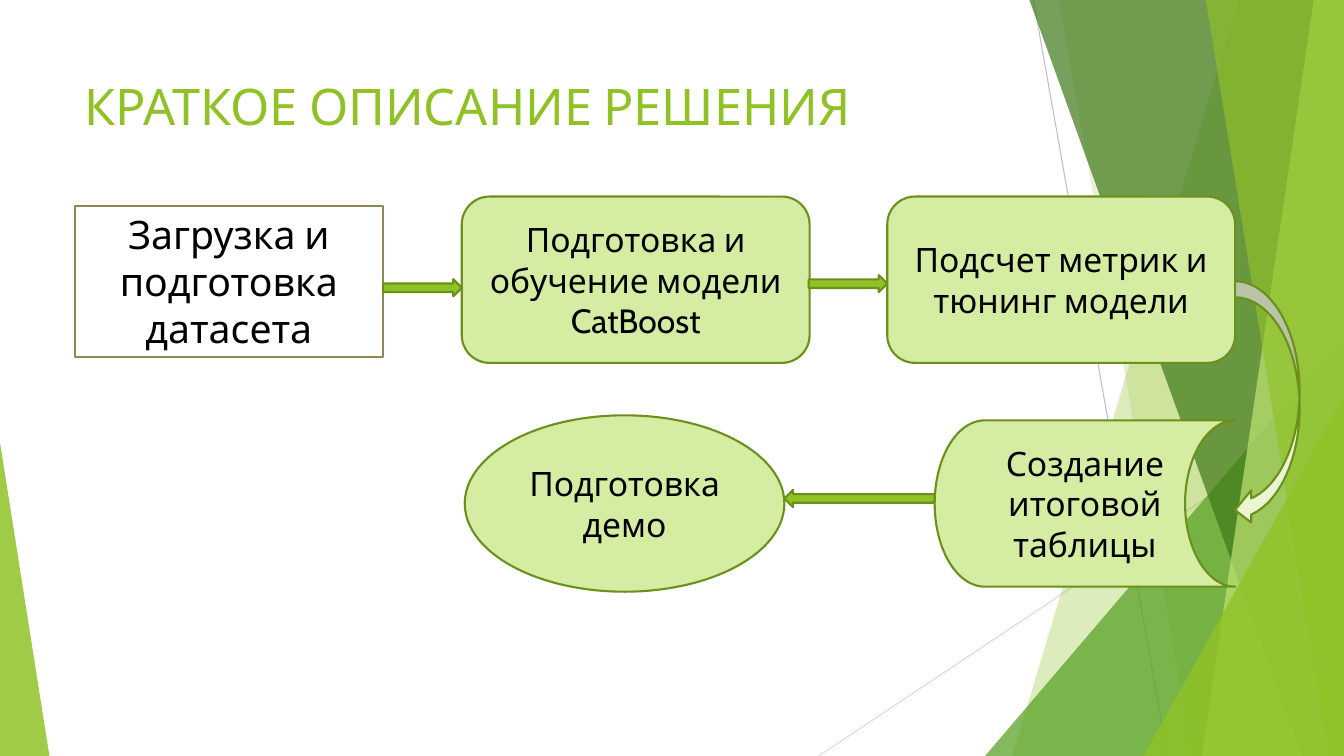
from dataclasses import dataclass

from lxml import etree
from pptx import Presentation
from pptx import util as u
from pptx.dml.color import RGBColor
from pptx.enum import shapes, text
from pptx.oxml import ns

PX = 9144  # one px is a hundredth of an inch
WIDTH, HEIGHT = 1333, 750
Preset = shapes.MSO_SHAPE


@dataclass(frozen=True)
class Theme:
    font: str = "Cabin"
    title_size: int = 36
    start_size: int = 28
    step_size: int = 24
    line_width: float = 1.5
    ray_width: float = 0.75
    ink: str = "000000"
    white: str = "FFFFFF"
    green: str = "90C226"
    outline: str = "6B901C"
    start_outline: str = "918655"
    step_fill: str = "D5EDA2"
    curve_fill: str = "EAF6D1"
    leaf: str = "54A021"
    forest: str = "3F7819"
    lime: str = "C0E474"


THEME = Theme()


@dataclass(frozen=True)
class Box:
    left: int
    top: int
    width: int
    height: int

    def emu(self) -> tuple[int, ...]:
        return tuple(v * PX for v in (self.left, self.top, self.width, self.height))


@dataclass(frozen=True)
class Ray:
    start: tuple[int, int]
    end: tuple[int, int]
    color: str


@dataclass(frozen=True)
class Band:
    """A full-height facet running from its slanted left edge to the right side."""
    top_left: int
    bottom_left: int
    color: str
    opacity: int


@dataclass(frozen=True)
class Wedge:
    box: Box
    apex: int
    color: str
    opacity: int


@dataclass(frozen=True)
class Step:
    preset: Preset
    box: Box
    label: str
    size: int = THEME.step_size
    fill: str = THEME.step_fill
    outline: str = THEME.outline


@dataclass(frozen=True)
class Arrow:
    box: Box
    preset: Preset = Preset.RIGHT_ARROW
    rotation: int = 0
    fill: str = THEME.green


RAYS = [
    Ray((1025, 0), (1158, HEIGHT), "BFBFBF"),
    Ray((WIDTH, 403), (812, HEIGHT), "D9D9D9"),
]
FACETS = [
    Band(1228, 1004, THEME.green, 30),
    Band(1050, 1183, THEME.green, 20),
    Wedge(Box(977, 333, 356, 417), 1, THEME.leaf, 72),
    Band(1021, 1291, THEME.forest, 70),
    Band(1303, 1192, THEME.lime, 70),
    Band(1196, 1318, THEME.green, 65),
    Wedge(Box(1134, 393, 199, 357), 1, THEME.green, 80),
    Wedge(Box(0, 439, 49, 311), 0, THEME.green, 85),
]
FLOW = [
    Step(Preset.RECTANGLE, Box(74, 204, 306, 150), "Загрузка и подготовка датасета",
         THEME.start_size, THEME.white, THEME.start_outline),
    Step(Preset.ROUNDED_RECTANGLE, Box(458, 195, 345, 165),
         "Подготовка и обучение модели CatBoost"),
    Step(Preset.ROUNDED_RECTANGLE, Box(880, 195, 345, 165), "Подсчет метрик и тюнинг модели"),
    Arrow(Box(380, 277, 78, 17)),
    Arrow(Box(778, 486, 149, 17), rotation=180),
    Arrow(Box(1225, 279, 64, 243), Preset.CURVED_LEFT_ARROW, fill=THEME.curve_fill),
    Step(Preset.FLOWCHART_STORED_DATA, Box(927, 417, 298, 165), "Создание итоговой таблицы"),
    Step(Preset.OVAL, Box(461, 412, 317, 175), "Подготовка демо"),
    Arrow(Box(802, 273, 78, 17)),
]


def rgb(color: str) -> RGBColor:
    return RGBColor.from_string(color)


def paint(shape, fill: str, outline: str | None = None, opacity: int = 100) -> None:
    shape.shadow.inherit = False
    shape.fill.solid()
    shape.fill.fore_color.rgb = rgb(fill)
    if opacity < 100:
        color = shape.fill._xPr.find(".//" + ns.qn("a:srgbClr"))
        etree.SubElement(color, ns.qn("a:alpha"), val=str(opacity * 1000))
    if outline:
        shape.line.color.rgb = rgb(outline)
        shape.line.width = u.Pt(THEME.line_width)
    else:
        shape.line.fill.background()


def write(shape, label: str, size: int, color: str, anchor, align) -> None:
    frame = shape.text_frame
    frame.word_wrap = True
    frame.vertical_anchor = anchor
    paragraph = frame.paragraphs[0]
    paragraph.text = label
    paragraph.alignment = align
    paragraph.font.name = THEME.font
    paragraph.font.size = u.Pt(size)
    paragraph.font.color.rgb = rgb(color)


def draw_ray(slide, ray: Ray) -> None:
    ends = [v * PX for v in ray.start + ray.end]
    line = slide.shapes.add_connector(shapes.MSO_CONNECTOR.STRAIGHT, *ends)
    line.line.color.rgb = rgb(ray.color)
    line.line.width = u.Pt(THEME.ray_width)
    etree.SubElement(line._element.spPr, ns.qn("a:effectLst"))


def draw_facet(slide, facet: Band | Wedge) -> None:
    if isinstance(facet, Band):
        outline = slide.shapes.build_freeform(facet.top_left, 0, scale=PX)
        outline.add_line_segments([(WIDTH, 0), (WIDTH, HEIGHT), (facet.bottom_left, HEIGHT)])
        shape = outline.convert_to_shape()
    else:
        shape = slide.shapes.add_shape(Preset.ISOSCELES_TRIANGLE, *facet.box.emu())
        shape.adjustments[0] = facet.apex
    paint(shape, facet.color, opacity=facet.opacity)


def draw_title(slide, label: str) -> None:
    title = slide.shapes.add_textbox(*Box(74, 70, 940, 141).emu())
    write(title, label, THEME.title_size, THEME.green,
          text.MSO_ANCHOR.TOP, text.PP_ALIGN.LEFT)


def draw_flow_part(slide, part: Step | Arrow) -> None:
    shape = slide.shapes.add_shape(part.preset, *part.box.emu())
    if isinstance(part, Step):
        paint(shape, part.fill, part.outline)
        write(shape, part.label, part.size, THEME.ink,
              text.MSO_ANCHOR.MIDDLE, text.PP_ALIGN.CENTER)
    else:
        paint(shape, part.fill, THEME.outline)
        shape.rotation = part.rotation


def main() -> None:
    deck = Presentation()
    deck.slide_width, deck.slide_height = WIDTH * PX, HEIGHT * PX
    slide = deck.slides.add_slide(deck.slide_layouts[6])
    for ray in RAYS:
        draw_ray(slide, ray)
    for facet in FACETS:
        draw_facet(slide, facet)
    draw_title(slide, "КРАТКОЕ ОПИСАНИЕ РЕШЕНИЯ")
    for part in FLOW:
        draw_flow_part(slide, part)
    deck.save("out.pptx")


if __name__ == "__main__":
    main()
